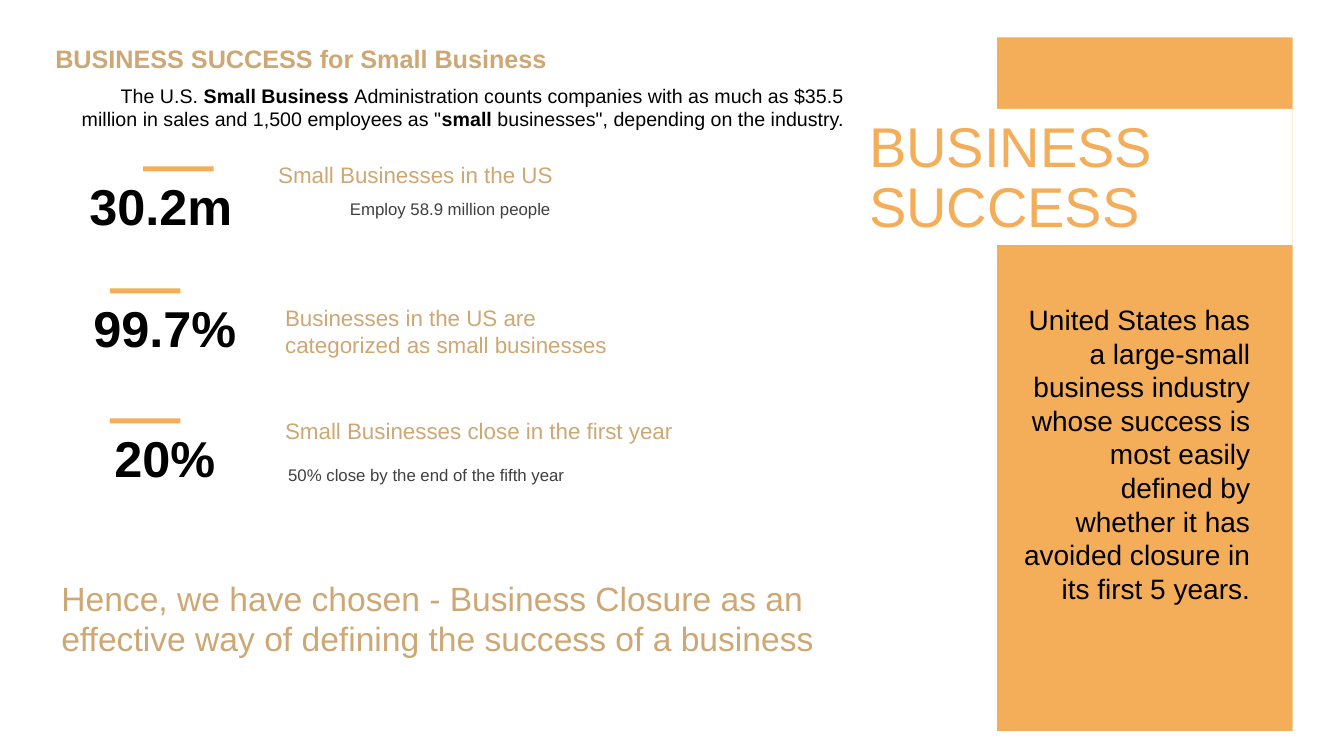
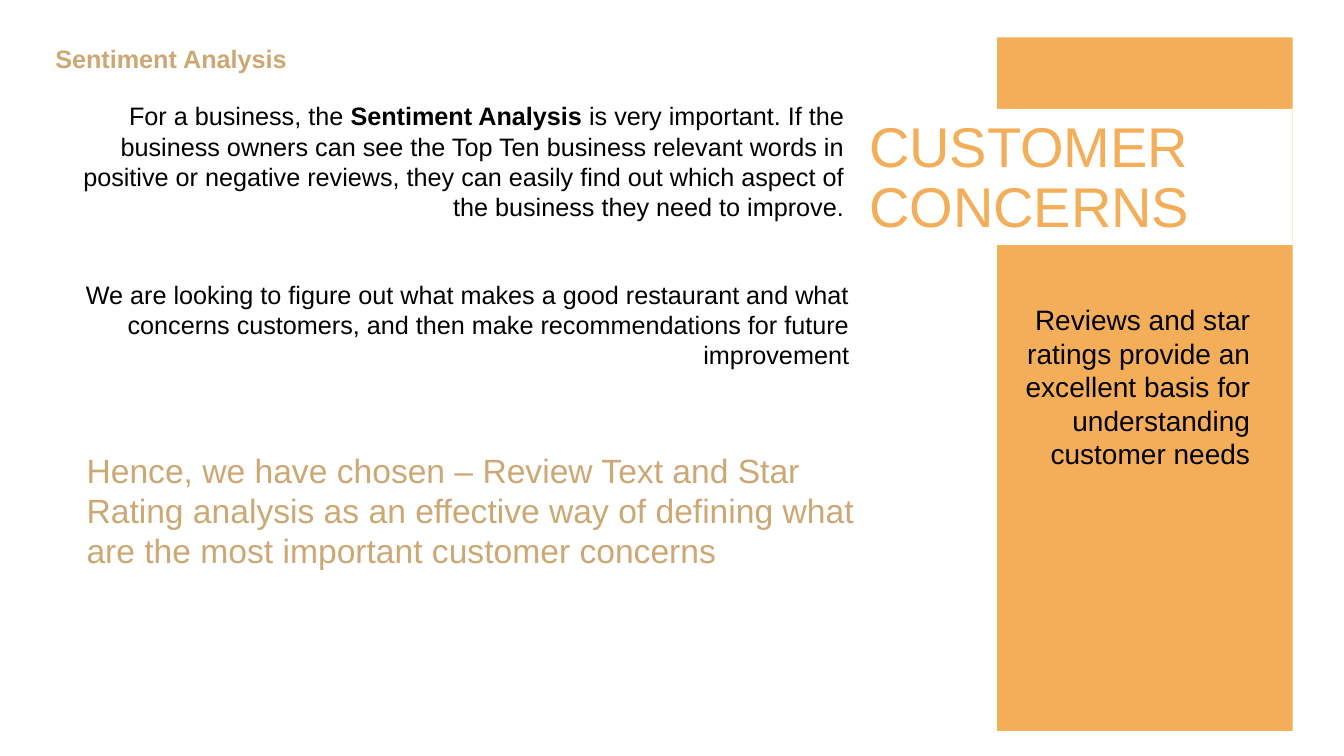
from pptx import Presentation
from pptx.dml.color import RGBColor
from pptx.enum.shapes import MSO_SHAPE
from pptx.enum.text import MSO_ANCHOR, MSO_AUTO_SIZE as AUTO_SIZE, PP_ALIGN as ALIGN
from pptx.oxml.ns import qn
from pptx.util import Inches, Pt

FONT = "Arial"
COLORS = {
    "orange": "F4AE59",
    "tan": "CDA874",
    "black": "000000",
    "gray": "404040",
    "white": "FFFFFF",
}
TITLE_AND_CONTENT = 1


def color(name):
    return RGBColor.from_string(COLORS[name])


def place(shape, left, top, width, height):
    shape.left, shape.top = Inches(left), Inches(top)
    shape.width, shape.height = Inches(width), Inches(height)


def write(shape, runs, size, color_name, align=ALIGN.LEFT, bold=False):
    """Fill the first paragraph; runs is a string or a list of (text, bold)."""
    if isinstance(runs, str):
        runs = [(runs, bold)]
    paragraph = shape.text_frame.paragraphs[0]
    paragraph.alignment = align
    paragraph.space_before = Pt(0)
    for text, is_bold in runs:
        run = paragraph.add_run()
        run.text = text
        run.font.name = FONT
        run.font.size = Pt(size)
        run.font.bold = is_bold
        run.font.color.rgb = color(color_name)
    return paragraph


def add_text(shapes, box, runs, size, color_name, align=ALIGN.LEFT,
             bold=False, anchor=MSO_ANCHOR.TOP):
    text_box = shapes.add_textbox(*map(Inches, box))
    frame = text_box.text_frame
    frame.word_wrap = True
    frame.auto_size = AUTO_SIZE.SHAPE_TO_FIT_TEXT
    frame.vertical_anchor = anchor
    write(text_box, runs, size, color_name, align, bold)


def add_bar(shapes, *box):
    bar = shapes.add_shape(MSO_SHAPE.RECTANGLE, *map(Inches, box))
    bar.shadow.inherit = False
    bar.fill.solid()
    bar.fill.fore_color.rgb = color("orange")
    bar.line.fill.background()
    return bar


def add_figure(slide, figure, left, top, bar_left):
    """Large number with a short bar above it."""
    shapes = slide.shapes.add_group_shape().shapes
    add_text(shapes, (left, top, 1.65, 0.71), figure, 36, "black",
             ALIGN.CENTER, bold=True, anchor=MSO_ANCHOR.MIDDLE)
    add_bar(shapes, bar_left, top - 0.03, 0.7, 0.05)


def add_caption(slide, box, text, align=ALIGN.LEFT):
    add_text(slide.shapes, box, text, 16, "tan", align)


def add_detail(slide, left, top, text, align=ALIGN.LEFT):
    add_text(slide.shapes, (left, top, 4.24, 0.3), text, 12, "gray", align)


def add_statement(slide, left, top, height, runs, size):
    add_text(slide.shapes, (left, top, 7.96, height), runs, size, "black", ALIGN.RIGHT)


def add_conclusion(slide, left, top, height, text):
    add_text(slide.shapes, (left, top, 8.31, height), text, 24, "tan")


def add_base_slide(presentation, title_text, heading, side_text):
    """Slide with the side band, title, heading and side text."""
    slide = presentation.slides.add_slide(presentation.slide_layouts[TITLE_AND_CONTENT])
    title, body = slide.shapes.title, slide.placeholders[1]

    # Band behind the title
    band = add_bar(slide.shapes, 9.89, 0.37, 2.93, 6.88)
    title.element.addprevious(band.element)

    # Title on white
    place(title, 8.52, 1.08, 4.3, 1.35)
    title.fill.solid()
    title.fill.fore_color.rgb = color("white")
    title.text_frame.auto_size = AUTO_SIZE.NONE
    title.text_frame.vertical_anchor = MSO_ANCHOR.MIDDLE
    title.text_frame.margin_top = Inches(0.1)
    write(title, title_text, 40, "orange", ALIGN.JUSTIFY).line_spacing = 0.9

    # Side text without bullet
    place(body, 10.03, 2.95, 2.47, 3.13)
    body.text_frame.auto_size = AUTO_SIZE.NONE
    properties = write(body, side_text, 20, "black", ALIGN.RIGHT)._p.get_or_add_pPr()
    properties.set("marL", "0")
    properties.set("indent", "0")
    properties.append(properties.makeelement(qn("a:buNone"), {}))

    add_text(slide.shapes, (0.45, 0.38, 8.07, 0.4), heading, 18, "tan", bold=True)
    return slide


def build_business_success(presentation):
    slide = add_base_slide(
        presentation, "BUSINESS SUCCESS", "BUSINESS SUCCESS for Small Business",
        "United States has a large-small business industry whose success is most "
        "easily defined by whether it has avoided closure in its first 5 years.")
    add_statement(slide, 0.51, 0.78, 0.76, [
        ("The U.S.\u00a0", False),
        ("Small Business", True),
        ("\u00a0Administration counts companies with as much as $35.5 million in "
         "sales and 1,500 employees as \"", False),
        ("small", True),
        ("\u00a0businesses\", depending on the industry.", False),
    ], 14)

    # Key figures
    for figure, left, top, bar_left in [
        ("30.2m", 0.77, 1.68, 1.42),
        ("99.7%", 0.81, 2.89, 1.09),
        ("20%", 0.81, 4.18, 1.09),
    ]:
        add_figure(slide, figure, left, top, bar_left)

    # What the figures mean
    add_caption(slide, (1.28, 1.55, 4.3, 0.37), "Small Businesses in the US", ALIGN.RIGHT)
    add_detail(slide, 1.32, 1.92, "Employ 58.9 million people", ALIGN.RIGHT)
    add_caption(slide, (2.73, 2.97, 3.84, 0.64),
                "Businesses in the US are categorized as small businesses")
    add_caption(slide, (2.73, 4.09, 4.3, 0.37), "Small Businesses close in the first year")
    add_detail(slide, 2.76, 4.56, "50% close by the end of the fifth year")

    add_conclusion(slide, 0.51, 5.68, 0.91,
                   "Hence, we have chosen - Business Closure as an effective way of "
                   "defining the success of a business")


def build_customer_concerns(presentation):
    slide = add_base_slide(
        presentation, "CUSTOMER CONCERNS", "Sentiment Analysis",
        "Reviews and star ratings provide an excellent basis for understanding "
        "customer needs")
    add_statement(slide, 0.51, 0.95, 1.31, [
        ("For a business, the\u00a0", False),
        ("Sentiment Analysis", True),
        ("\u00a0is very important. If the business owners can see the Top Ten "
         "business relevant words in positive or negative reviews, they can easily "
         "find out which aspect of the business they need to improve.", False),
    ], 18)
    add_statement(slide, 0.56, 2.72, 1.01,
                  "We are looking to figure out what makes a good restaurant and what "
                  "concerns customers, and then make recommendations for future "
                  "improvement", 18)
    add_conclusion(slide, 0.76, 4.41, 1.31,
                   "Hence, we have chosen \u2013 Review Text and Star Rating analysis as "
                   "an effective way of defining what are the most important customer "
                   "concerns")


def main():
    presentation = Presentation()
    presentation.slide_width = Inches(13.33)
    presentation.slide_height = Inches(7.5)
    build_business_success(presentation)
    build_customer_concerns(presentation)
    presentation.save("out.pptx")


main()
